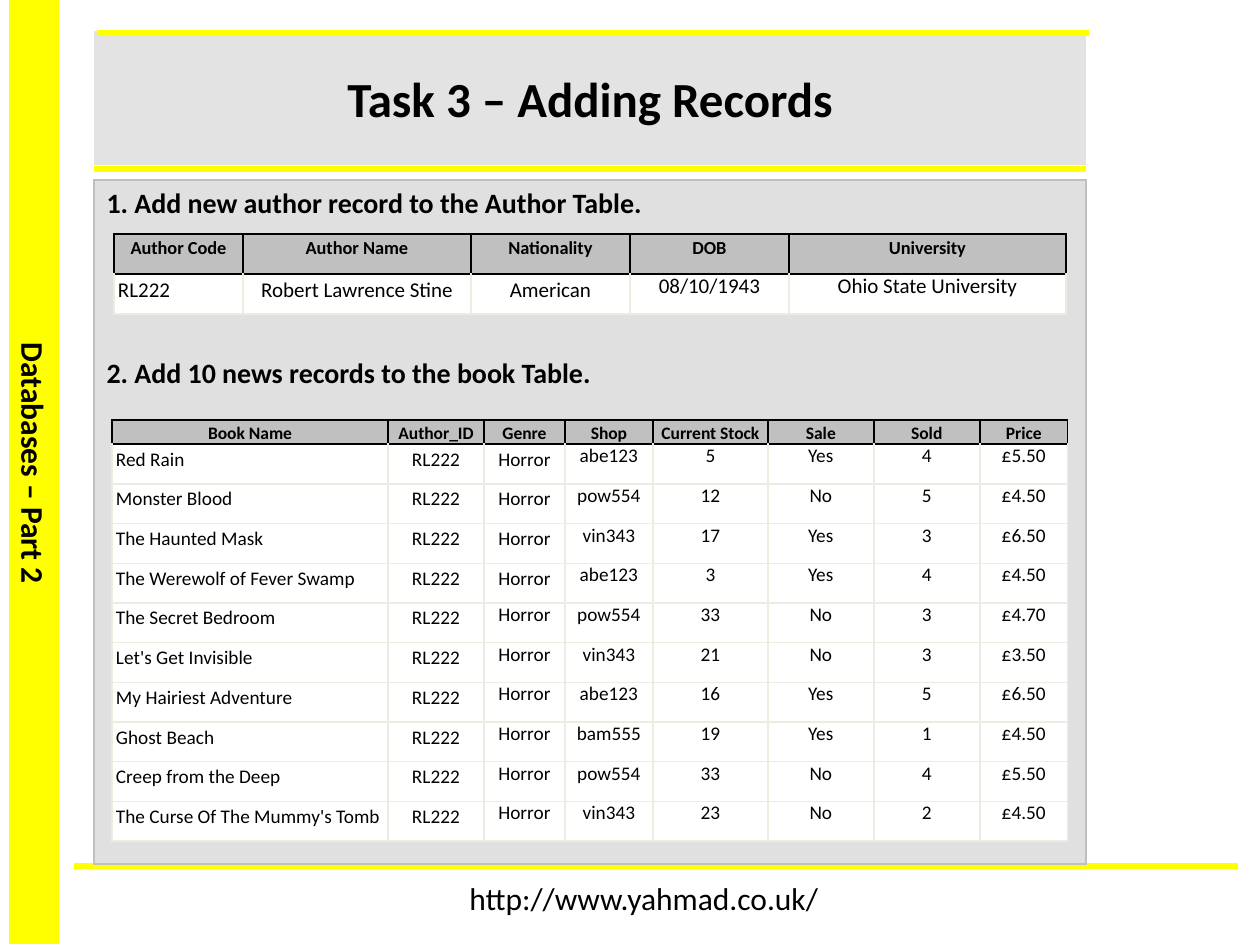
from dataclasses import dataclass

from lxml.etree import SubElement
from pptx import Presentation
from pptx.dml.color import RGBColor
from pptx.enum.shapes import MSO_SHAPE as Preset
from pptx.enum.text import MSO_ANCHOR as Anchor, PP_ALIGN as Align
from pptx.oxml.ns import qn
from pptx.util import Emu, Pt

FONT = "Calibri"
YELLOW, BLACK, WHITE = "FFFF00", "000000", "FFFFFF"
PANEL_GREY, PANEL_EDGE = "D9D9D9", "BFBFBF"
HEADER_GREY, GRID = "C0C0C0", "EEECE1"


@dataclass
class Area:
    left: int
    top: int
    width: int
    height: int
    rotation: int = 0


@dataclass
class RecordTable:
    area: Area
    header_height: int
    widths: list[int]
    header_size: float
    body_size: float
    headings: list[str]
    records: list[list[str]]
    loose_columns: list[int]


def px(length: float) -> Emu:
    return Emu(round(length * 914400 / 126))


def color(value: str) -> RGBColor:
    return RGBColor.from_string(value)


def place(area: Area) -> list[Emu]:
    return [px(n) for n in (area.left, area.top, area.width, area.height)]


def paint(fill, value: str, properties, opacity: int = 100) -> None:
    fill.solid()
    fill.fore_color.rgb = color(value)
    if opacity < 100:
        tint = properties.find(qn("a:solidFill")).find(qn("a:srgbClr"))
        SubElement(tint, qn("a:alpha"), val=str(opacity * 1000))


def write(para, text: str, size: float, bold: bool = False, align=Align.LEFT,
          spacing: float = 1.0) -> None:
    para.add_run().text = text
    para.alignment = align
    para.line_spacing = spacing
    font = para.font
    font.name, font.size, font.bold = FONT, Pt(size), bold
    font.color.rgb = color(BLACK)


def add_bar(page, area: Area, fill: str, opacity: int = 100):
    bar = page.shapes.add_shape(Preset.RECTANGLE, *place(area))
    bar.rotation = area.rotation
    bar.shadow.inherit = False
    bar.line.fill.background()
    paint(bar.fill, fill, bar._element.spPr, opacity)
    return bar


def add_label(page, area: Area, text: str, bold: bool = False) -> None:
    box = page.shapes.add_textbox(*place(area))
    box.rotation = area.rotation
    box.text_frame.word_wrap = False
    write(box.text_frame.paragraphs[0], text, 18, bold)


def style_cell(cell, fill: str, edge: str, top_edge: str, opacity: int = 100) -> None:
    properties = cell._tc.get_or_add_tcPr()
    for side in "LRTB":
        line = SubElement(properties, qn(f"a:ln{side}"), w=str(Pt(1)))
        solid = SubElement(line, qn("a:solidFill"))
        SubElement(solid, qn("a:srgbClr"), val=top_edge if side == "T" else edge)
    paint(cell.fill, fill, properties, opacity)


def add_grid(page, area: Area, rows: int, columns: int):
    grid = page.shapes.add_table(rows, columns, *place(area)).table
    grid.first_row = grid.horz_banding = False
    return grid


def add_panel(page, area: Area, headings: list[str]) -> None:
    cell = add_grid(page, area, 1, 1).cell(0, 0)
    style_cell(cell, PANEL_GREY, PANEL_EDGE, PANEL_EDGE, 80)
    frame = cell.text_frame
    for index, heading in enumerate(headings):
        para = frame.add_paragraph() if index else frame.paragraphs[0]
        write(para, heading, 16, True)
        if index:
            para.space_before = Pt(78)


def add_records(page, table: RecordTable) -> None:
    rows = [table.headings, *table.records]
    grid = add_grid(page, table.area, len(rows), len(table.headings))
    for column, width in zip(grid.columns, table.widths):
        column.width = px(width)
    body_height = (table.area.height - table.header_height) / len(table.records)
    for r, values in enumerate(rows):
        is_header = r == 0
        grid.rows[r].height = px(table.header_height if is_header else body_height)
        loose = len(values) if is_header else table.loose_columns[r - 1]
        for c, value in enumerate(values):
            cell = grid.cell(r, c)
            cell.margin_left = cell.margin_right = px(4)
            cell.margin_top = cell.margin_bottom = 0
            style_cell(cell, HEADER_GREY if is_header else WHITE,
                       BLACK if is_header else GRID, BLACK if r < 2 else GRID)
            write(cell.text_frame.paragraphs[0], value,
                  table.header_size if is_header else table.body_size, is_header,
                  Align.CENTER if is_header or c else Align.LEFT,
                  1.15 if c < loose else 1.0)


BOOKS = [
    ("Red Rain", "abe123", "5", "Yes", "4", "£5.50"),
    ("Monster Blood", "pow554", "12", "No", "5", "£4.50"),
    ("The Haunted Mask", "vin343", "17", "Yes", "3", "£6.50"),
    ("The Werewolf of Fever Swamp", "abe123", "3", "Yes", "4", "£4.50"),
    ("The Secret Bedroom", "pow554", "33", "No", "3", "£4.70"),
    ("Let's Get Invisible", "vin343", "21", "No", "3", "£3.50"),
    ("My Hairiest Adventure", "abe123", "16", "Yes", "5", "£6.50"),
    ("Ghost Beach", "bam555", "19", "Yes", "1", "£4.50"),
    ("Creep from the Deep", "pow554", "33", "No", "4", "£5.50"),
    ("The Curse Of The Mummy's Tomb", "vin343", "23", "No", "2", "£4.50"),
]

BOOK_TABLE = RecordTable(
    Area(112, 420, 956, 421), 24, [276, 96, 81, 88, 115, 106, 106, 88], 10, 11,
    ["Book Name", "Author_ID", "Genre", "Shop", "Current Stock", "Sale", "Sold", "Price"],
    [[name, "RL222", "Horror", *details] for name, *details in BOOKS],
    [3] * 4 + [2] * 6,
)

AUTHOR_TABLE = RecordTable(
    Area(114, 234, 952, 80), 40, [129, 228, 159, 159, 277], 10.5, 12,
    ["Author Code", "Author Name", "Nationality", "DOB", "University"],
    [["RL222", "Robert Lawrence Stine", "American", "08/10/1943", "Ohio State University"]],
    [3],
)


def main() -> None:
    deck = Presentation()
    deck.slide_width, deck.slide_height = px(1260), px(945)
    page = deck.slides.add_slide(deck.slide_layouts[6])

    add_bar(page, Area(-438, 447, 944, 50, 90), YELLOW)
    add_label(page, Area(-101, 440, 270, 50, 90), "Databases – Part 2", True)
    add_bar(page, Area(74, 863, 1164, 6), YELLOW)
    add_label(page, Area(457, 873, 379, 50), "http://www.yahmad.co.uk/")

    title = add_bar(page, Area(94, 31, 992, 134), PANEL_GREY, 72)
    title.text_frame.vertical_anchor = Anchor.MIDDLE
    write(title.text_frame.paragraphs[0], "Task 3 – Adding Records", 28, True, Align.CENTER)
    for left, top in ((94, 166), (97, 30)):
        add_bar(page, Area(left, top, 992, 6), YELLOW)

    add_panel(page, Area(94, 180, 992, 684), [
        "1. Add new author record to the Author Table.",
        "2. Add 10 news records to the book Table.",
    ])
    add_records(page, BOOK_TABLE)
    add_records(page, AUTHOR_TABLE)
    deck.save("out.pptx")


if __name__ == "__main__":
    main()
